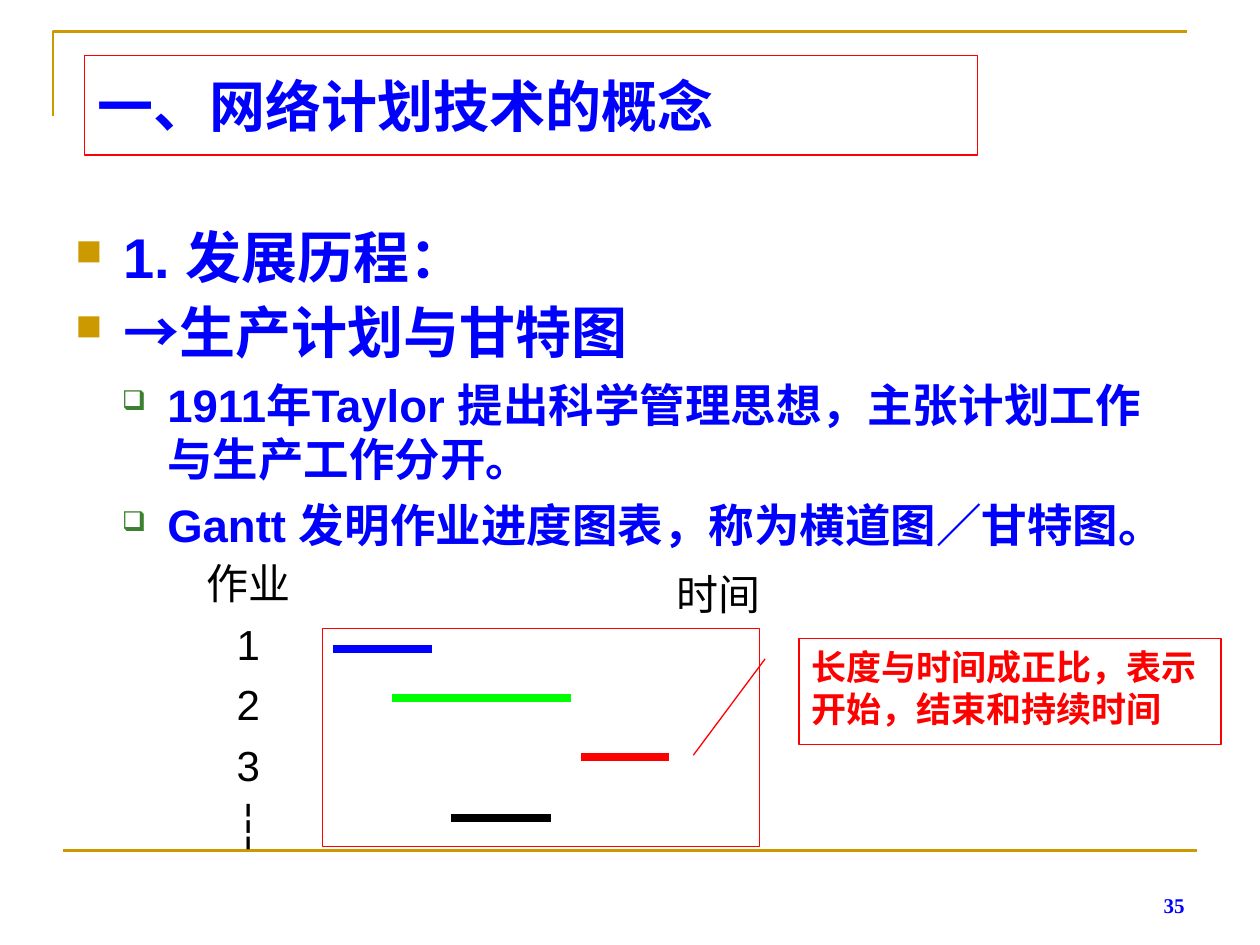
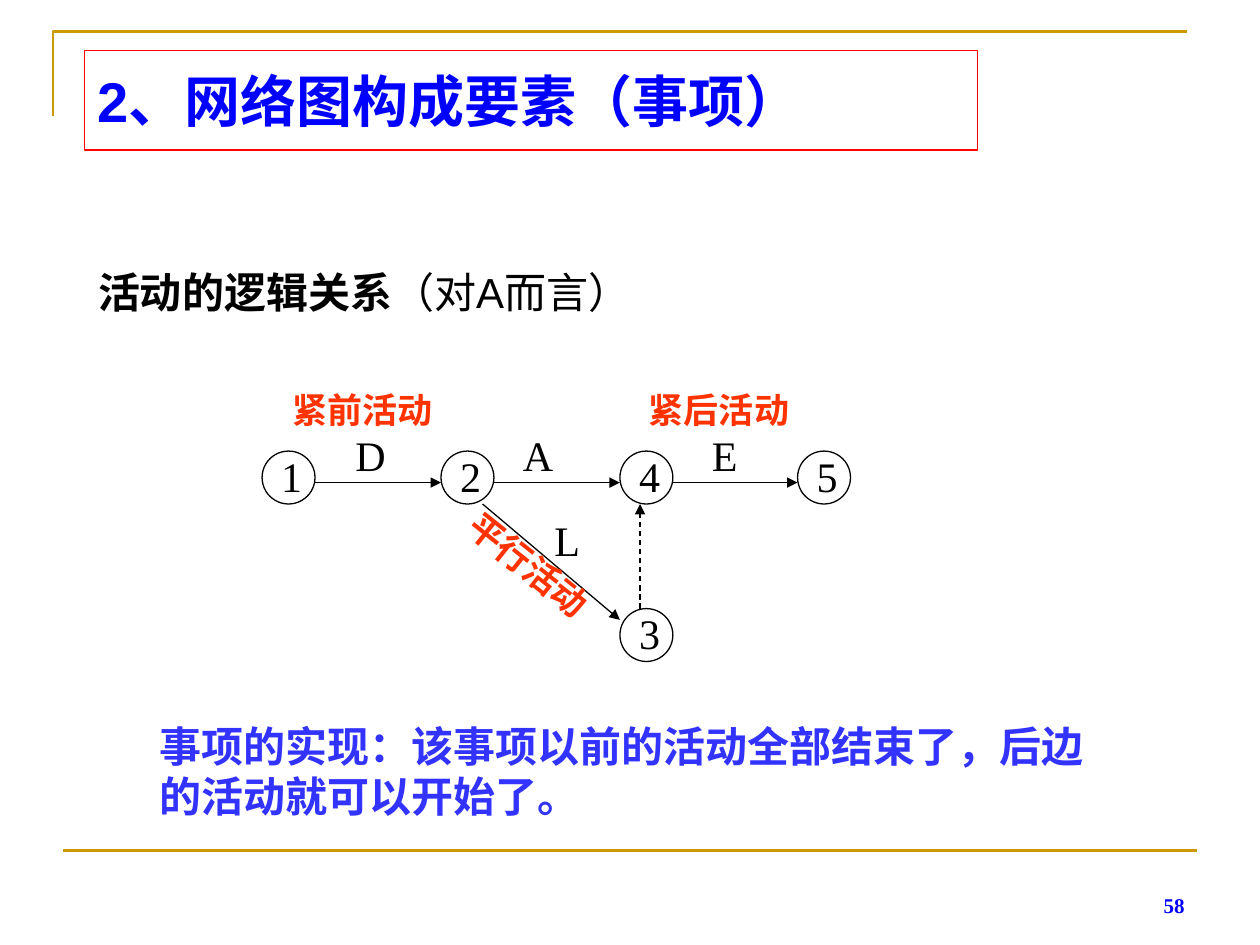
from lxml import etree
from pptx import Presentation
from pptx import util as u
from pptx.dml.color import RGBColor
from pptx.enum import dml, shapes, text
from pptx.oxml.ns import qn

PX = 9144  # EMU per px, 100 px to the inch
GOLD, GREEN, BLUE, RED = "CC9900", "3B812F", "0000FF", "FF0000"
BLACK, WHITE, ORANGE, VIOLET = "000000", "FFFFFF", "FF3300", "3333FF"
SANS, SERIF = "Arial", "Times New Roman"
LEFT, CENTER, RIGHT = text.PP_ALIGN.LEFT, text.PP_ALIGN.CENTER, text.PP_ALIGN.RIGHT
TOP, MIDDLE, BOTTOM = text.MSO_ANCHOR.TOP, text.MSO_ANCHOR.MIDDLE, text.MSO_ANCHOR.BOTTOM
SHAPE = shapes.MSO_SHAPE
INSETS = (10, 5, 10, 5)
DIAGRAM_INSETS = (7, 8, 10, 5)


def rgb(value):
    return RGBColor.from_string(value)


def px(*lengths):
    return [u.Emu(length * PX) for length in lengths]


class Deck:
    """Shared style and the slide being drawn."""

    def __init__(self):
        self.prs = Presentation()
        self.prs.slide_width, self.prs.slide_height = px(1000, 750)
        self.slide = None

    def start(self, title, title_top, number):
        self.slide = self.prs.slides.add_slide(self.prs.slide_layouts[5])
        self.frame()
        heading = self.slide.shapes.title
        heading.left, heading.top, heading.width, heading.height = px(67, title_top, 709, 79)
        self.outline(heading, RED)
        self.fill_text(heading, [title], 32, BLUE, bold=True, anchor=MIDDLE)
        self.label((717, 683, 233, 50), str(number), 12, BLUE, SERIF,
                   bold=True, align=RIGHT, anchor=BOTTOM)

    def frame(self):
        builder = self.slide.shapes.build_freeform(42, 92, scale=PX)
        builder.add_line_segments([(42, 25), (942, 25)], close=False)
        corner = builder.convert_to_shape()
        corner.shadow.inherit = False
        corner.fill.background()
        self.outline(corner, GOLD, 1.5)
        self.line((50, 675), (950, 675), GOLD, 1.5)

    def outline(self, shape, color, width=0.75):
        shape.line.color.rgb = rgb(color)
        shape.line.width = u.Pt(width)

    def style(self, run, size, color, font, bold):
        run.font.size, run.font.name, run.font.bold = u.Pt(size), font, bold
        run.font.color.rgb = rgb(color)

    def fill_text(self, shape, lines, size, color, font=SANS, bold=False, align=LEFT,
                  anchor=TOP, insets=INSETS, spacing=None, wrap=True):
        frame = shape.text_frame
        frame.text = "\n".join(lines)
        frame.word_wrap, frame.auto_size = wrap, text.MSO_AUTO_SIZE.NONE
        frame.vertical_anchor = anchor
        (frame.margin_left, frame.margin_top,
         frame.margin_right, frame.margin_bottom) = px(*insets)
        for paragraph in frame.paragraphs:
            paragraph.alignment = align
            paragraph.line_spacing = spacing
            for run in paragraph.runs:
                self.style(run, size, color, font, bold)
        return frame

    def label(self, box, words, size, color, font=SANS, rotation=0, **options):
        holder = self.slide.shapes.add_textbox(*px(*box))
        holder.rotation = rotation
        return self.fill_text(holder, words.split("\n"), size, color, font, **options)

    def shape(self, kind, box, color, fill=None):
        item = self.slide.shapes.add_shape(kind, *px(*box))
        item.shadow.inherit = False
        if fill:
            item.fill.solid()
            item.fill.fore_color.rgb = rgb(fill)
        else:
            item.fill.background()
        self.outline(item, color)
        return item

    def line(self, start, end, color=BLACK, width=0.75, arrow=False, dashed=False):
        link = self.slide.shapes.add_connector(
            shapes.MSO_CONNECTOR.STRAIGHT, *px(*start, *end))
        self.outline(link, color, width)
        if dashed:
            link.line.dash_style = dml.MSO_LINE.DASH
        props = link._element.spPr
        if arrow:
            etree.SubElement(props.find(qn("a:ln")), qn("a:tailEnd"), type="triangle")
        etree.SubElement(props, qn("a:effectLst"))

    def bullet(self, paragraph, char, color, percent, margin, hanging):
        props = paragraph._p.get_or_add_pPr()
        props.set("marL", str(margin * PX))
        props.set("indent", str(-hanging * PX))
        tint = etree.SubElement(props, qn("a:buClr"))
        etree.SubElement(tint, qn("a:srgbClr"), val=color)
        etree.SubElement(props, qn("a:buSzPct"), val=str(percent * 1000))
        etree.SubElement(props, qn("a:buChar"), char=char)

    def outline_list(self, box, items):
        """Two-level list; items are (level, words)."""
        frame = self.label(box, "\n".join(words for _, words in items),
                           32, BLUE, bold=True, spacing=0.9)
        for index, (level, _) in enumerate(items):
            paragraph = frame.paragraphs[index]
            paragraph.level = level
            if level:
                self.bullet(paragraph, "❑", GREEN, 60, 73, 36)
                paragraph.line_spacing = 1.0
                paragraph.runs[0].font.size = u.Pt(26)
            else:
                self.bullet(paragraph, "■", GOLD, 65, 38, 38)
            if index:
                paragraph.space_before = u.Pt(6.5 if level else 8)

    def node(self, number, left, top):
        event = self.shape(SHAPE.OVAL, (left, top, 42, 42), BLACK, WHITE)
        self.fill_text(event, [str(number)], 24, BLACK, SERIF, align=CENTER,
                       anchor=MIDDLE, insets=(5, 0, 0, 3), wrap=False)


def concept_slide(deck):
    deck.start("一、网络计划技术的概念", 44, 35)
    deck.outline_list((50, 178, 900, 307), [
        (0, "1. 发展历程："),
        (0, "→生产计划与甘特图"),
        (1, "1911年Taylor 提出科学管理思想，主张计划工作与生产工作分开。"),
        (1, "Gantt 发明作业进度图表，称为横道图／甘特图。"),
    ])

    # Gantt sketch
    deck.shape(SHAPE.RECTANGLE, (256, 499, 347, 173), RED)
    deck.label((492, 452, 157, 39), "时间", 24, BLACK, align=CENTER, anchor=MIDDLE)
    deck.label((146, 444, 102, 221), "作业\n1\n2\n3\n┆", 24, BLACK,
               align=CENTER, anchor=MIDDLE, spacing=1.2)
    for begin, finish, level, color in [(264, 343, 515, BLUE), (311, 453, 554, "00FF00"),
                                        (461, 531, 601, RED), (358, 437, 649, BLACK)]:
        deck.line((begin, level), (finish, level), color, 4.5)

    # Remark on bar length
    remark = deck.shape(SHAPE.LINE_CALLOUT_1, (634, 507, 335, 84), RED)
    for index, value in enumerate((0.19, -0.08, 1.1, -0.25)):
        remark.adjustments[index] = value
    deck.fill_text(remark, ["长度与时间成正比，表示开始，结束和持续时间"], 20, RED, bold=True)


def event_slide(deck):
    deck.start("2、网络图构成要素（事项）", 40, 58)
    subtitle = deck.label((68, 207, 500, 50), "活动的逻辑关系", 24, BLACK, bold=True)
    aside = subtitle.paragraphs[0].add_run()
    aside.text = "（对A而言）"
    deck.style(aside, 24, BLACK, SANS, False)

    # Activities and events
    columns = [208, 350, 492, 633]
    for here, following in zip(columns, columns[1:]):
        deck.line((here + 42, 383), (following, 383), arrow=True)
    deck.line((383, 400), (492, 492), arrow=True)
    deck.line((508, 483), (508, 400), arrow=True, dashed=True)
    for number, left in zip((1, 2, 4, 5), columns):
        deck.node(number, left, 358)
    deck.node(3, columns[2], 483)

    # Activity names and their relation to A
    for name, left, top in [("D", 275, 333), ("A", 408, 333), ("E", 558, 333), ("L", 433, 400)]:
        deck.label((left, top, 67, 53), name, 24, BLACK, SERIF, insets=DIAGRAM_INSETS)
    for relation, box, rotation in [("紧前活动", (225, 300, 158, 46), 0),
                                    ("平行活动", (352, 442, 183, 46), 38.6),
                                    ("紧后活动", (508, 300, 158, 46), 0)]:
        deck.label(box, relation, 20, ORANGE, SERIF, rotation,
                   bold=True, insets=DIAGRAM_INSETS)

    # Conclusion
    deck.label((117, 567, 767, 90),
               "事项的实现：该事项以前的活动全部结束了，后边的活动就可以开始了。",
               24, VIOLET, SERIF, bold=True)


def main():
    deck = Deck()
    concept_slide(deck)
    event_slide(deck)
    deck.prs.save("out.pptx")


if __name__ == "__main__":
    main()
